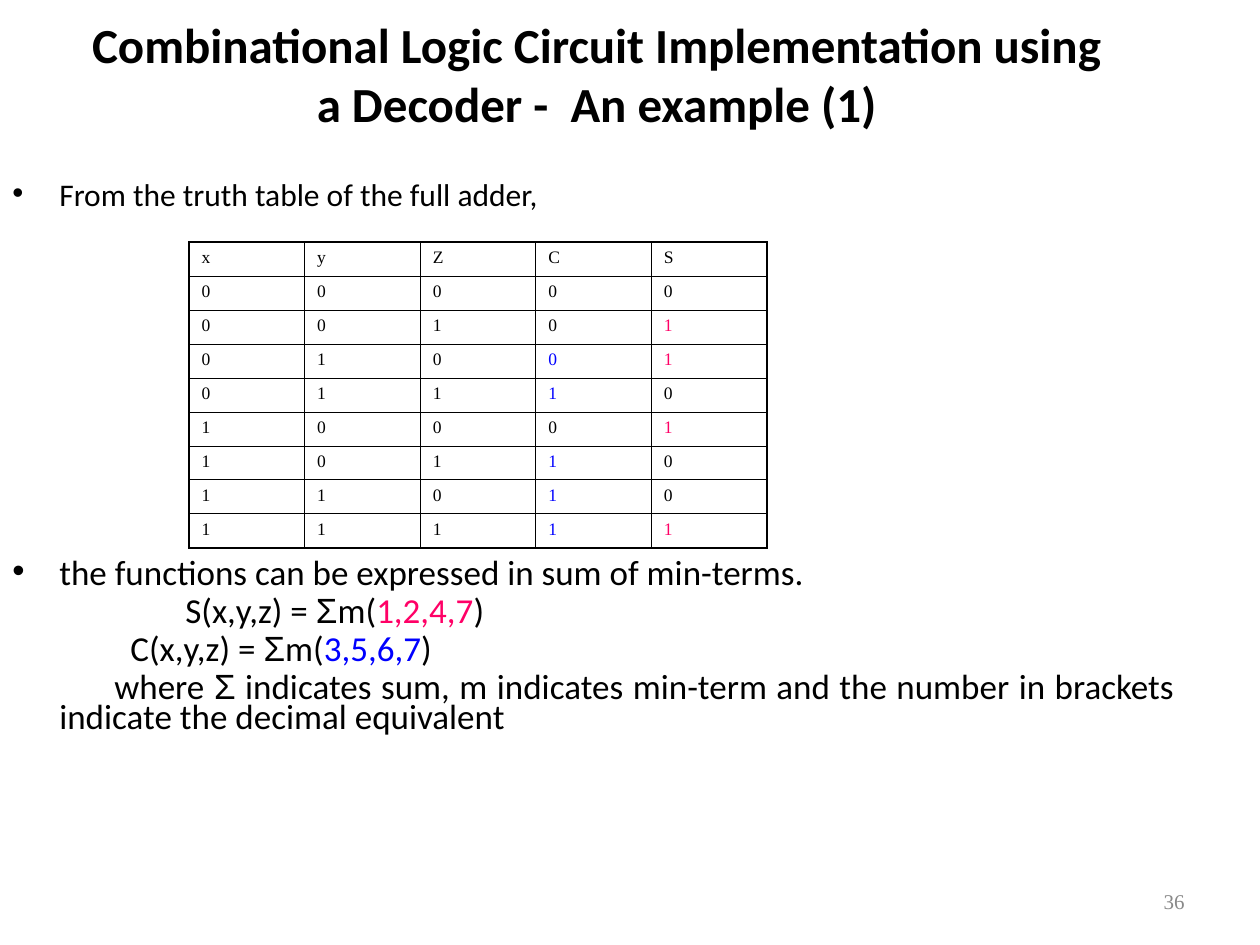
from pptx import Presentation
from pptx import util as u
from pptx.dml.color import RGBColor
from pptx.enum import text as t
from pptx.oxml import parse_xml
from pptx.oxml.ns import nsdecls

HUES = {"ink": "000000", "pink": "FF0066", "blue": "0000FF", "grey": "898989"}
ROWS = ["xyZCS", "00000", "00101", "01001", "01110", "10001", "10110", "11010", "11111"]


def px(n):
    return u.Emu(round(n * 914400 / 126))


def style(run, size, face="Calibri", hue="ink", bold=False):
    run.font.size = u.Pt(size)
    run.font.name = face
    run.font.bold = bold
    run.font.color.rgb = RGBColor.from_string(HUES[hue])


def frame(slide, box, anchor):
    body = slide.shapes.add_textbox(*map(px, box)).text_frame
    body.word_wrap = True
    body.vertical_anchor = anchor
    return body


def label(slide, box, words, align, size, **look):
    body = frame(slide, box, t.MSO_ANCHOR.MIDDLE)
    body.text = words
    para = body.paragraphs[0]
    para.alignment = align
    style(para.runs[0], size, **look)


def indent(para, left, first, dot):
    props = para._p.get_or_add_pPr()
    props.set("marL", str(px(left)))
    props.set("indent", str(px(first)))
    if dot:
        marks = (f'<a:buClr {nsdecls("a")}><a:srgbClr val="{HUES["ink"]}"/></a:buClr>',
                 f'<a:buFont {nsdecls("a")} typeface="Arial"/>',
                 f'<a:buChar {nsdecls("a")} char="•"/>')
    else:
        marks = (f'<a:buNone {nsdecls("a")}/>',)
    for mark in marks:
        props.append(parse_xml(mark))


def notes(slide, box):
    sigma = ("Σ", "Arial", "ink")

    def plain(words, hue="ink"):
        return words, "Calibri", hue

    lines = [
        (18, 0, 47, -47, True, [plain("From the truth table of the full adder,")]),
        (20, 200, 47, -47, True,
         [plain("the functions can be expressed in sum of min-terms.")]),
        (20, 5, 173, 0, False,
         [plain("S(x,y,z) = "), sigma, plain("m("), plain("1,2,4,7", "pink"), plain(")")]),
        (20, 5, 118, 0, False,
         [plain("C(x,y,z) = "), sigma, plain("m("), plain("3,5,6,7", "blue"), plain(")")]),
        (20, 5, 47, 55, False,
         [plain("where "), sigma,
          plain(" indicates sum, m indicates min-term and the number in brackets"
                " indicate the decimal equivalent")]),
    ]
    body = frame(slide, box, t.MSO_ANCHOR.TOP)
    for i, (size, gap, left, first, dot, parts) in enumerate(lines):
        para = body.add_paragraph() if i else body.paragraphs[0]
        para.alignment = t.PP_ALIGN.JUSTIFY
        para.line_spacing = 0.7
        para.space_before = u.Pt(gap)
        indent(para, left, first, dot)
        for words, face, hue in parts:
            run = para.add_run()
            run.text = words
            style(run, size, face, hue)


def edge(cell, side, width):
    cell._tc.get_or_add_tcPr().append(parse_xml(
        f'<a:ln{side} {nsdecls("a")} w="{u.Pt(width)}"><a:solidFill>'
        f'<a:srgbClr val="{HUES["ink"]}"/></a:solidFill></a:ln{side}>'))


def tint(row, col, mark):
    if col == 4 and mark == "1":
        return "pink"
    if col == 3 and (mark == "1" or row == 3):
        return "blue"
    return "ink"


def truth(slide, box):
    high, wide = len(ROWS), len(ROWS[0])
    grid = slide.shapes.add_table(high, wide, *map(px, box)).table
    grid.first_row = grid.horz_banding = False
    for r, marks in enumerate(ROWS):
        for c, mark in enumerate(marks):
            cell = grid.cell(r, c)
            cell.text = mark
            style(cell.text_frame.paragraphs[0].runs[0], 10, "Times New Roman",
                  tint(r, c, mark))
            outer = {"L": c == 0, "R": c == wide - 1, "T": r == 0, "B": r == high - 1}
            for side, thick in outer.items():
                edge(cell, side, 1.08 if thick else 0.45)
            cell.fill.background()


def main():
    deck = Presentation()
    deck.slide_width, deck.slide_height = px(1260), px(945)
    slide = deck.slides.add_slide(deck.slide_layouts[6])
    label(slide, (63, 0, 1067, 147),
          "Combinational Logic Circuit Implementation using a Decoder -  An example (1)",
          t.PP_ALIGN.CENTER, 28, bold=True)
    notes(slide, (0, 179, 1187, 735))
    label(slide, (903, 876, 294, 50), "36", t.PP_ALIGN.RIGHT, 12,
          face="Times New Roman", hue="grey")
    truth(slide, (189, 242, 578, 306))
    deck.save("out.pptx")


if __name__ == "__main__":
    main()
